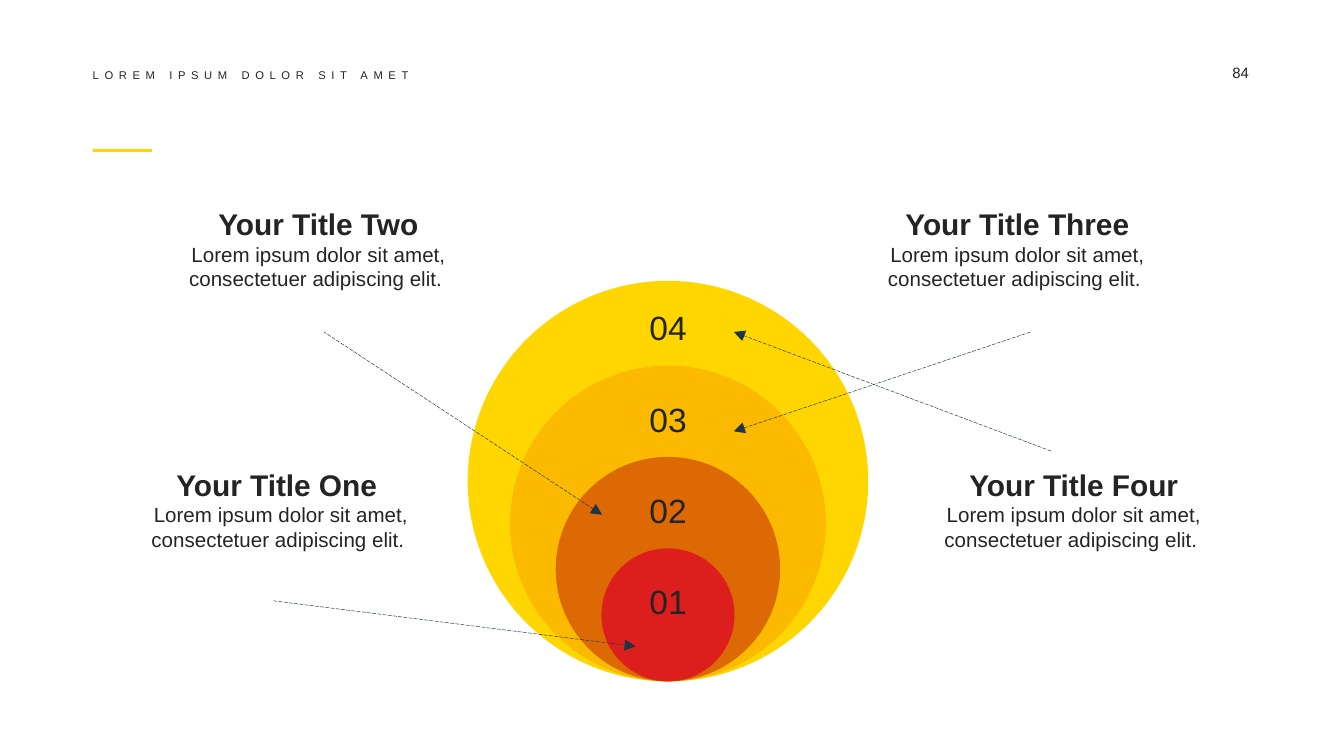
"""Build a slide of four nested circles with numbered callouts."""
import pptx
import pptx.dml.color
import pptx.enum.dml
import pptx.enum.shapes
import pptx.enum.text
import pptx.oxml.ns
import pptx.util
from lxml import etree
from pptx.util import Inches

FONT = "Arial"
INK = "242424"
YELLOW = "FFD600"
ARROW = "1D3647"
HEADER = "LOREM IPSUM DOLOR SIT AMET"
PAGE_NUMBER = "84"
BODY = "Lorem ipsum dolor sit amet, consectetuer adipiscing elit. "

CENTER_X, CIRCLE_BOTTOM = 4.97, 5.07
CIRCLES = [(2.98, YELLOW), (2.35, "FBBA00"), (1.67, "DD6904"), (0.99, "DC1F1C")]
LABELS = ["01", "02", "03", "04"]
LABEL_SIZE, LABEL_TOP, LABEL_STEP = 0.49, 4.23, 0.68
CALLOUTS = [
    ("Your Title One ", 0.98, 3.43),
    ("Your Title Two", 1.26, 1.49),
    ("Your Title Three", 6.46, 1.49),
    ("Your Title Four", 6.88, 3.43),
]
ARROWS = [
    ((4.48, 3.83), (2.41, 2.47)),
    ((4.73, 4.81), (2.03, 4.47)),
    ((5.46, 3.21), (7.67, 2.47)),
    ((5.46, 2.47), (7.83, 3.36)),
]

SHAPES = pptx.enum.shapes.MSO_SHAPE
ALIGN = pptx.enum.text.PP_ALIGN
ANCHOR = pptx.enum.text.MSO_ANCHOR
GROW = pptx.enum.text.MSO_AUTO_SIZE.SHAPE_TO_FIT_TEXT


def color(value):
    return pptx.dml.color.RGBColor.from_string(value)


def add_filled(page, kind, left, top, width, height, fill):
    shape = page.shapes.add_shape(
        kind, Inches(left), Inches(top), Inches(width), Inches(height))
    shape.shadow.inherit = False
    shape.fill.solid()
    shape.fill.fore_color.rgb = color(fill)
    shape.line.fill.background()


def add_text(page, lines, left, top, width, height,
             align=ALIGN.LEFT, anchor=ANCHOR.TOP, margins=(0, 0), grow=None):
    box = page.shapes.add_textbox(
        Inches(left), Inches(top), Inches(width), Inches(height))
    frame = box.text_frame
    frame.word_wrap = True
    frame.auto_size = grow
    frame.vertical_anchor = anchor
    frame.margin_left = frame.margin_right = Inches(margins[0])
    frame.margin_top = frame.margin_bottom = Inches(margins[1])
    frame.text = "\n".join(text for text, size, bold in lines)
    for para, (text, size, bold) in zip(frame.paragraphs, lines):
        para.alignment = align
        font = para.runs[0].font
        font.name = FONT
        font.size = pptx.util.Pt(size)
        font.bold = bold
        font.color.rgb = color(INK)
    return box


def add_arrow(page, tip, tail):
    x1, y1, x2, y2 = (Inches(value) for value in tip + tail)
    arrow = page.shapes.add_connector(
        pptx.enum.shapes.MSO_CONNECTOR.STRAIGHT, x1, y1, x2, y2)
    arrow.line.width = pptx.util.Pt(0.25)
    arrow.line.color.rgb = color(ARROW)
    arrow.line.dash_style = pptx.enum.dml.MSO_LINE.LONG_DASH
    properties = arrow.element.spPr
    outline = properties.find(pptx.oxml.ns.qn("a:ln"))
    etree.SubElement(outline, pptx.oxml.ns.qn("a:headEnd"), type="triangle")
    etree.SubElement(properties, pptx.oxml.ns.qn("a:effectLst"))


def main():
    deck = pptx.Presentation()
    deck.slide_width = Inches(10)
    deck.slide_height = deck.slide_width * 9 // 16
    page = deck.slides.add_slide(deck.slide_layouts[6])

    add_filled(page, SHAPES.RECTANGLE, 0.69, 1.11, 0.44, 0.02, YELLOW)
    for diameter, fill in CIRCLES:
        add_filled(page, SHAPES.OVAL, CENTER_X - diameter / 2,
                   CIRCLE_BOTTOM - diameter, diameter, diameter, fill)
    for index, label in enumerate(LABELS):
        add_text(page, [(label, 18, False)], CENTER_X - LABEL_SIZE / 2,
                 LABEL_TOP - index * LABEL_STEP, LABEL_SIZE, LABEL_SIZE,
                 ALIGN.CENTER, ANCHOR.MIDDLE)
    for title, left, top in CALLOUTS:
        add_text(page, [(title, 16, True), (BODY, 11, False)], left, top,
                 2.22, 0.72, ALIGN.CENTER, margins=(0.08, 0.04), grow=GROW)
    for tip, tail in ARROWS:
        add_arrow(page, tip, tail)

    add_text(page, [(PAGE_NUMBER, 8, False)], 9.17, 0.47, 0.43, 0.16)
    header = add_text(page, [(HEADER, 6, False)], 0.69, 0.51, 7.17, 0.1,
                      anchor=ANCHOR.MIDDLE, grow=GROW)
    span = header.text_frame.paragraphs[0].runs[0]
    span.font._element.set("spc", "300")
    deck.save("out.pptx")


if __name__ == "__main__":
    main()
